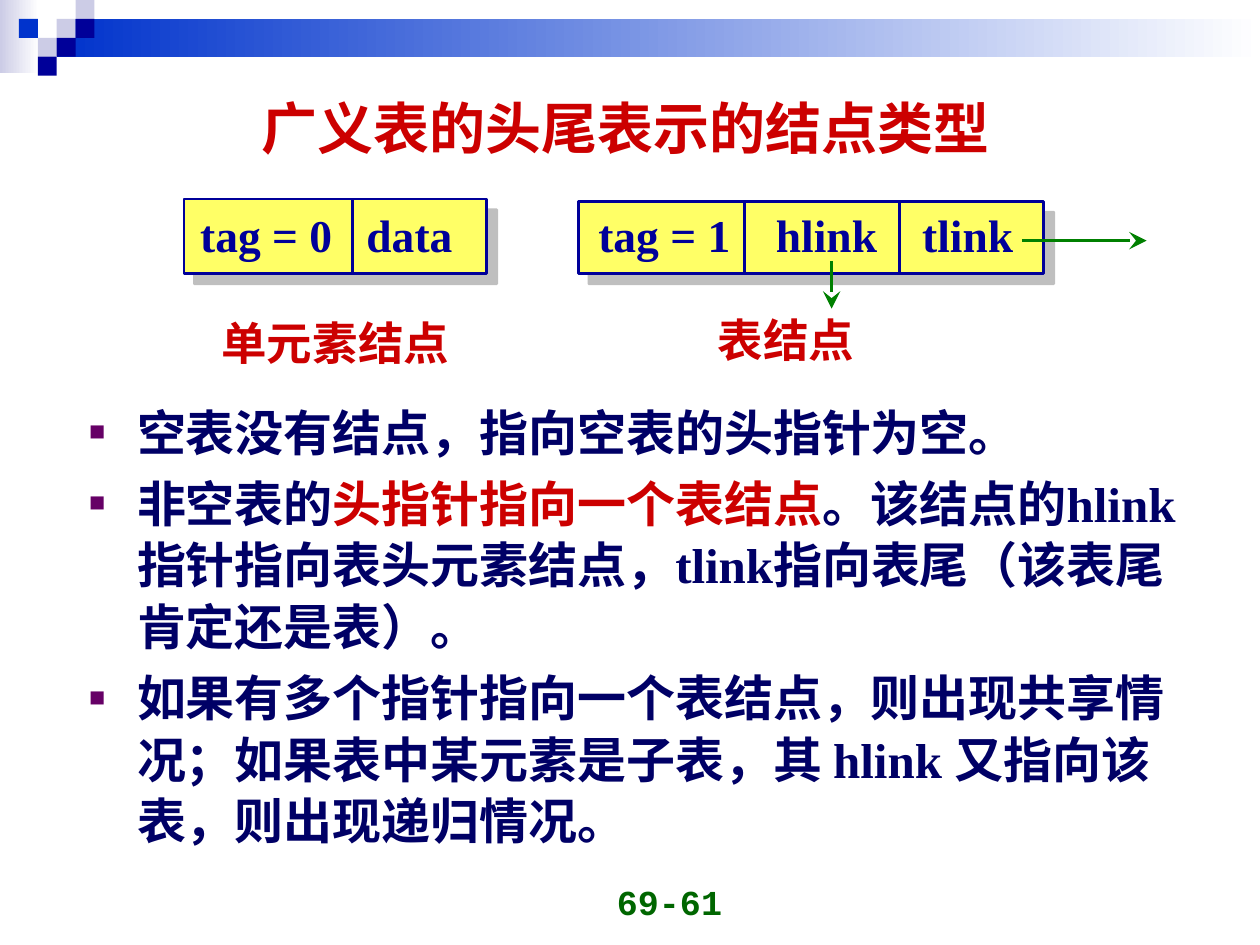
from lxml import etree
from pptx import Presentation
from pptx.dml.color import RGBColor
from pptx.enum.shapes import MSO_CONNECTOR, MSO_SHAPE
from pptx.enum.text import MSO_ANCHOR, PP_ALIGN
from pptx.oxml.ns import qn
from pptx.util import Inches, Pt

COLORS = {
    "pale": "CCCCE6", "blue": "0033CC", "navy": "000099", "white": "FFFFFF",
    "yellow": "FFFF66", "shadow": "808080", "arrow": "008000",
    "red": "CC0000", "body": "000066", "bullet": "660066", "number": "006600",
}
SANS, SERIF, MONO = "Arial", "Times New Roman", "Courier New"


def rgb(name):
    return RGBColor.from_string(COLORS[name])


def add_child(parent, tag, **attributes):
    return etree.SubElement(parent, qn(tag), attributes)


def add_rect(slide, left, top, width, height, color, fade=False):
    shape = slide.shapes.add_shape(
        MSO_SHAPE.RECTANGLE, Inches(left), Inches(top), Inches(width), Inches(height))
    shape.shadow.inherit = False
    shape.line.fill.background()
    if fade:
        shape.fill.gradient()
        shape.fill.gradient_angle = 0
        for stop, name, position in zip(shape.fill.gradient_stops, (color, "white"), (0, 1)):
            stop.color.rgb = rgb(name)
            stop.position = position
    else:
        shape.fill.solid()
        shape.fill.fore_color.rgb = rgb(color)
    return shape


def add_line(slide, start, end, color, width, arrow=False):
    line = slide.shapes.add_connector(
        MSO_CONNECTOR.STRAIGHT, *(Inches(value) for value in (*start, *end)))
    line.line.color.rgb = rgb(color)
    line.line.width = Pt(width)
    if arrow:
        add_child(line.line._get_or_add_ln(), "a:tailEnd", type="stealth", w="lg", len="lg")
    add_child(line._element.spPr, "a:effectLst")


def add_run(paragraph, text, size, font, color):
    run = paragraph.add_run()
    run.text = text
    run.font.size = Pt(size)
    run.font.name = font
    run.font.bold = True
    run.font.color.rgb = rgb(color)


def add_text_box(slide, left, top, width, height, anchor=MSO_ANCHOR.TOP):
    box = slide.shapes.add_textbox(Inches(left), Inches(top), Inches(width), Inches(height))
    frame = box.text_frame
    frame.word_wrap = True
    frame.vertical_anchor = anchor
    return frame


def add_banner(slide, left, top):
    """Fading bars with a checker of small squares at the corner."""
    add_rect(slide, left, top, 0.31, 0.58, "pale", fade=True)
    add_rect(slide, left + 0.45, top + 0.15, 9.55, 0.3, "blue", fade=True)
    cell = 0.15
    squares = [(3, 1, "pale"), (4, 0, "pale"), (4, 1, "navy"), (2, 2, "pale"),
               (1, 1, "blue"), (3, 2, "navy"), (2, 3, "navy")]
    for column, row, color in squares:
        add_rect(slide, left + column * cell, top + row * cell, cell, cell, color)


def add_title(slide, left, top, width, height):
    paragraph = add_text_box(slide, left, top, width, height, MSO_ANCHOR.MIDDLE).paragraphs[0]
    paragraph.alignment = PP_ALIGN.CENTER
    add_run(paragraph, "广义表的头尾表示的结点类型", 32, SANS, "red")


def add_node(slide, left, top, width, height, fields, dividers, text_left, tab_stops):
    """Shadowed record box; dividers and text are offsets from its left edge."""
    box = add_rect(slide, left, top, width, height, "yellow")
    box.line.color.rgb = rgb("navy")
    box.line.width = Pt(1.5)
    effects = box._element.spPr.find(qn("a:effectLst"))
    shadow = add_child(effects, "a:outerShdw", dist=str(Pt(8.5)), dir="2700000",
                       algn="ctr", rotWithShape="0")
    color = add_child(shadow, "a:srgbClr", val=COLORS["shadow"])
    add_child(color, "a:alpha", val="50000")

    for offset in dividers:
        add_line(slide, (left + offset, top), (left + offset, top + height), "navy", 1.5)

    paragraph = add_text_box(slide, left + text_left, 1.59, width, 0.57).paragraphs[0]
    tabs = add_child(paragraph._p.get_or_add_pPr(), "a:tabLst")
    for stop in tab_stops:
        add_child(tabs, "a:tab", pos=str(Inches(stop)), algn="l")
    add_run(paragraph, "\t".join(fields), 26, SERIF, "navy")


def add_caption(slide, left, top, width, text):
    paragraph = add_text_box(slide, left, top, width, 0.54).paragraphs[0]
    add_run(paragraph, text, 26, SANS, "red")


def add_diagram(slide, left, top):
    # Atom node
    add_node(slide, left, top, 2.4, 0.59, ["tag = 0", "data"], [1.34], 0.03, [1.32])
    add_caption(slide, left + 0.2, top + 0.87, 2.1, "单元素结点")
    # List node with its two pointers
    add_node(slide, left + 3.13, top + 0.02, 3.69, 0.57, ["tag = 1", "hlink", "tlink"],
             [1.32, 2.55], 0.06, [1.41, 2.57])
    add_line(slide, (left + 6.65, top + 0.33), (left + 7.64, top + 0.33), "arrow", 2, arrow=True)
    add_line(slide, (left + 5.14, top + 0.49), (left + 5.14, top + 0.87), "arrow", 2, arrow=True)
    add_caption(slide, left + 4.14, top + 0.85, 1.4, "表结点")


def add_body(slide, left, top, width, height):
    items = [
        [("空表没有结点，指向空表的头指针为空。", SANS, "body")],
        [("非空表的", SANS, "body"),
         ("头指针指向一个表结点", SANS, "red"),
         ("。", SANS, "body"),
         ("该结点的hlink指针指向表头元素结点，tlink指向表尾（该表尾肯定还是表）。", SERIF, "body")],
        [("如果有多个指针指向一个表", SANS, "body"),
         ("结点，则出现共享情况；如果表中某元素是子表，其 hlink 又指向该表，则出现递归情况。",
          SERIF, "body")],
    ]
    frame = add_text_box(slide, left, top, width, height)
    for index, runs in enumerate(items):
        paragraph = frame.add_paragraph() if index else frame.paragraphs[0]
        paragraph.line_spacing = 1.05
        paragraph.space_before = Pt(5.2 if index else 0)
        # Hanging square bullet
        properties = paragraph._p.get_or_add_pPr()
        properties.set("marL", str(Inches(0.38)))
        properties.set("indent", str(-Inches(0.38)))
        bullet_color = add_child(properties, "a:buClr")
        add_child(bullet_color, "a:srgbClr", val=COLORS["bullet"])
        add_child(properties, "a:buSzPct", val="55000")
        add_child(properties, "a:buFont", typeface=SANS)
        add_child(properties, "a:buChar", char="■")
        for text, font, color in runs:
            add_run(paragraph, text, 28, font, color)


def add_page_number(slide, left, top, width, height):
    paragraph = add_text_box(slide, left, top, width, height, MSO_ANCHOR.BOTTOM).paragraphs[0]
    paragraph.alignment = PP_ALIGN.RIGHT
    add_run(paragraph, "69-61", 20, MONO, "number")


def main():
    presentation = Presentation()
    presentation.slide_width, presentation.slide_height = Inches(10), Inches(7.5)
    slide = presentation.slides.add_slide(presentation.slide_layouts[6])
    add_banner(slide, 0, 0)
    add_page_number(slide, 3.5, 6.87, 2.33, 0.5)
    add_title(slide, 0.47, 0.54, 9, 0.93)
    add_body(slide, 0.61, 3.12, 9, 3.74)
    add_diagram(slide, 1.46, 1.58)
    presentation.save("out.pptx")


if __name__ == "__main__":
    main()
